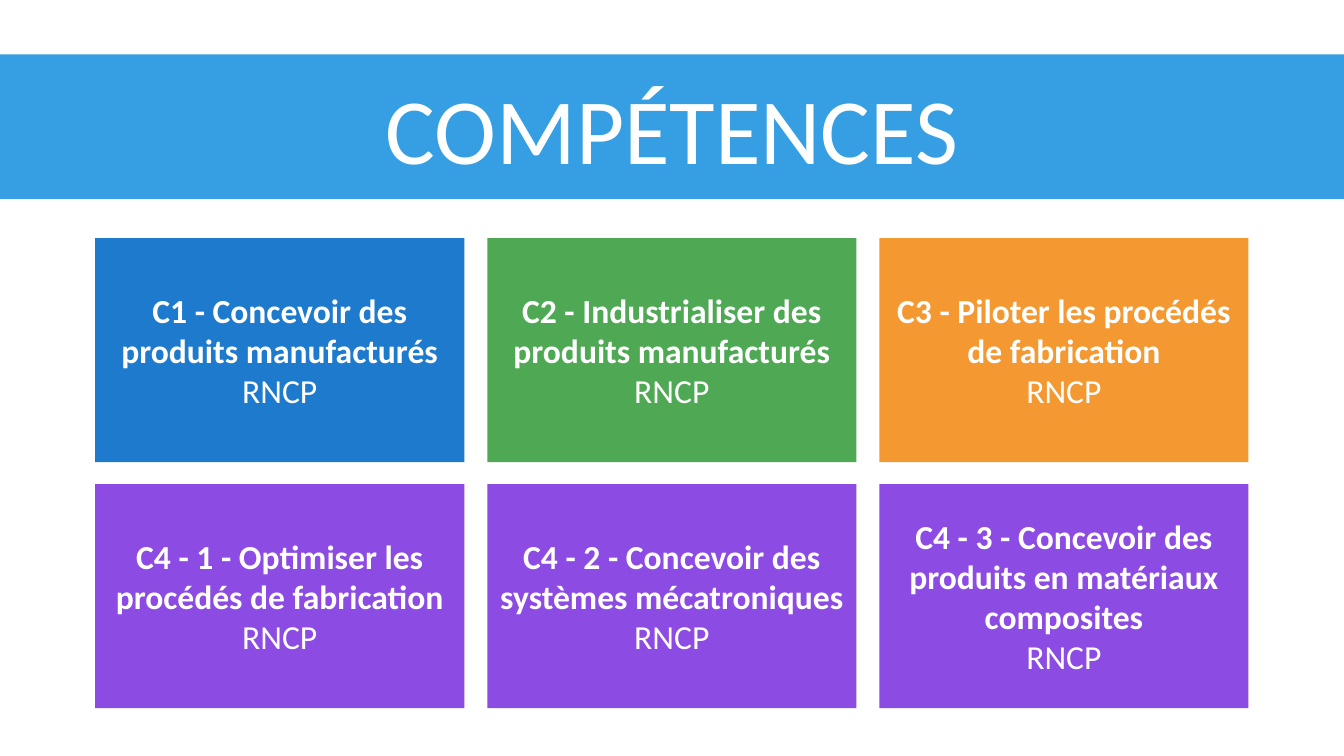
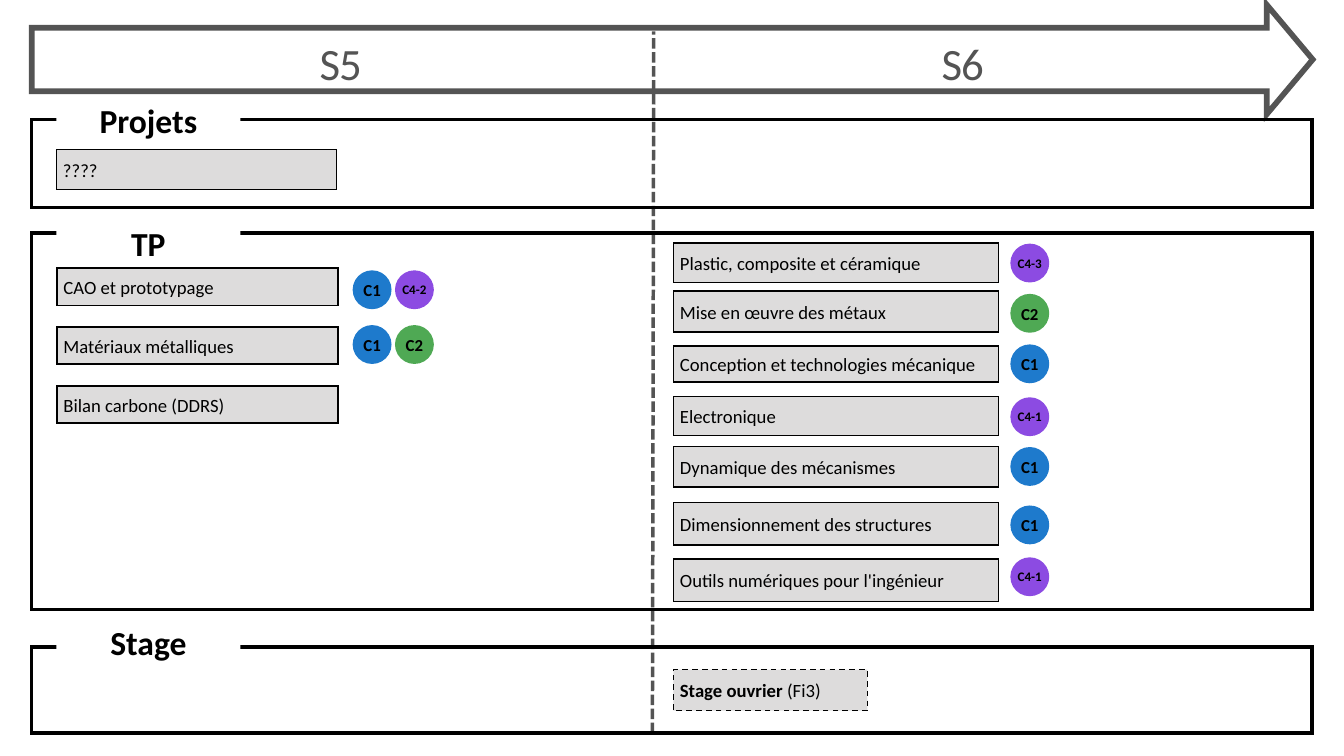
from lxml import etree
from pptx import Presentation
from pptx.dml.color import RGBColor
from pptx.enum.dml import MSO_LINE_DASH_STYLE as DASH
from pptx.enum.shapes import MSO_CONNECTOR, MSO_SHAPE as SHAPE
from pptx.enum.text import MSO_ANCHOR as ANCHOR, PP_ALIGN as ALIGN
from pptx.oxml.ns import qn
from pptx.util import Cm, Pt

FONT = "Calibri"
COLORS = {
    "white": "FFFFFF", "black": "000000", "band": "369FE3", "gray": "545454",
    "box": "DDDCDC", "C1": "1E7ACC", "C2": "4FA954", "C3": "F49831", "C4": "8C4BE2",
}


def rgb(name):
    return RGBColor.from_string(COLORS[name])


def write(tf, paragraphs, size=20, color="black", align=ALIGN.LEFT,
          anchor=ANCHOR.MIDDLE, wrap=True, inset=None, spacing=None, tracking=None):
    """Fill a text frame; each paragraph is a list of (text, bold) runs."""
    tf.word_wrap = wrap
    tf.vertical_anchor = anchor
    if inset is not None:
        tf.margin_left = tf.margin_top = tf.margin_right = tf.margin_bottom = inset
    for i, runs in enumerate(paragraphs):
        p = tf.add_paragraph() if i else tf.paragraphs[0]
        p.alignment = align
        if spacing:
            p.line_spacing = Pt(spacing)
        for text, bold in runs:
            r = p.add_run()
            r.text = text
            r.font.name, r.font.size, r.font.bold = FONT, Pt(size), bold
            r.font.color.rgb = rgb(color)
            if tracking:
                r.font._element.set("spc", str(tracking))


class Deck:
    def __init__(self, width, height):
        self.prs = Presentation()
        self.prs.slide_width, self.prs.slide_height = Cm(width), Cm(height)
        self.slide = None

    def new_slide(self):
        self.slide = self.prs.slides.add_slide(self.prs.slide_layouts[6])

    def shape(self, kind, x, y, w, h, fill=None, line=None, weight=1.5, dash=None):
        sp = self.slide.shapes.add_shape(kind, Cm(x), Cm(y), Cm(w), Cm(h))
        sp.shadow.inherit = False
        if fill:
            sp.fill.solid()
            sp.fill.fore_color.rgb = rgb(fill)
        else:
            sp.fill.background()
        if line:
            sp.line.color.rgb = rgb(line)
            sp.line.width = Pt(weight)
            if dash:
                sp.line.dash_style = dash
            ln = sp._element.spPr.find(qn("a:ln"))
            etree.SubElement(ln, qn("a:miter"), lim="800000")
        else:
            sp.line.fill.background()
        return sp

    def band(self, title, y, h):
        sp = self.shape(SHAPE.RECTANGLE, 0, y, 50.8, h, "band")
        write(sp.text_frame, [[(title, False)]], 100, "white", ALIGN.CENTER)

    def card(self, title, color, x, y):
        sp = self.shape(SHAPE.RECTANGLE, x, y, 13.95, 8.47, color)
        write(sp.text_frame, [[(title, True)], [("RNCP", False)]],
              36, "white", ALIGN.CENTER)

    def semester(self, text, x, w):
        sp = self.slide.shapes.add_textbox(Cm(x), Cm(1.17), Cm(w), Cm(2.11))
        write(sp.text_frame, [[(text, False)]], 48, "gray", ALIGN.CENTER, ANCHOR.TOP,
              inset=0, spacing=62.4, tracking=-100)

    def dashed_line(self, x1, y1, x2, y2):
        cn = self.slide.shapes.add_connector(
            MSO_CONNECTOR.STRAIGHT, Cm(x1), Cm(y1), Cm(x2), Cm(y2))
        cn.line.color.rgb = rgb("gray")
        cn.line.width = Pt(3.75)
        cn.line.dash_style = DASH.SQUARE_DOT
        etree.SubElement(cn._element.spPr, qn("a:effectLst"))

    def frame(self, y, h):
        self.shape(SHAPE.RECTANGLE, 1.2, y, 48.4, h, line="black", weight=3.75)

    def frame_label(self, text, y, anchor):
        sp = self.shape(SHAPE.RECTANGLE, 2.13, y, 6.96, 1.55, "white")
        write(sp.text_frame, [[(text, True)]], 36, align=ALIGN.CENTER, anchor=anchor)

    def box(self, runs, x, y, w, h, dash=None):
        sp = self.shape(SHAPE.RECTANGLE, x, y, w, h, "box", "black", dash=dash)
        write(sp.text_frame, [runs])

    def badge(self, code, x, y):
        color = code[:2]
        sp = self.shape(SHAPE.OVAL, x, y, 1.39, 1.39, color, color, 2.25)
        write(sp.text_frame, [[(code, True)]], 18 if code == color else 14,
              align=ALIGN.CENTER, wrap=False, inset=0)


def skills_slide(deck):
    deck.new_slide()
    deck.band("COMPÉTENCES", 2.06, 5.46)
    cards = [
        ("C1 - Concevoir des produits manufacturés", "C1"),
        ("C2 - Industrialiser des produits manufacturés", "C2"),
        ("C3 - Piloter les procédés de fabrication", "C3"),
        ("C4 - 1 - Optimiser les procédés de fabrication", "C4"),
        ("C4 - 2 - Concevoir des systèmes mécatroniques", "C4"),
        ("C4 - 3 - Concevoir des produits en matériaux composites", "C4"),
    ]
    for i, (title, color) in enumerate(cards):
        row, col = divmod(i, 3)
        deck.card(title, color, 3.6 + 14.82 * col, 9 + 9.3 * row)


def timeline_slide(deck):
    deck.new_slide()

    # Semester arrow
    arrow = deck.shape(SHAPE.RIGHT_ARROW, 1.2, 0.18, 48.42, 4.14, line="gray", weight=6)
    arrow.adjustments[0], arrow.adjustments[1] = 0.58, 0.42
    deck.dashed_line(24.66, 27.71, 24.71, 1.19)
    deck.semester("S5", 1.27, 23.22)
    deck.semester("S6", 24.92, 22.94)

    # Frames with their labels: text, frame top, height, label top, anchor
    for text, y, h, label_y, anchor in [
        ("Projets", 4.52, 3.33, 3.78, ANCHOR.MIDDLE),
        ("TP", 8.81, 14.24, 8.31, ANCHOR.TOP),
        ("Stage", 24.46, 3.25, 23.39, ANCHOR.TOP),
    ]:
        deck.frame(y, h)
        deck.frame_label(text, label_y, anchor)

    # Project and internship
    deck.box([("????", False)], 2.13, 5.66, 10.6, 1.5)
    deck.box([("Stage ouvrier ", True), ("(Fi3)", False)],
             25.45, 25.32, 7.34, 1.55, DASH.DASH)

    # Practical work: name, top, height, badge top, skill codes
    s5 = [
        ("CAO et prototypage", 10.14, 1.4, 10.26, ["C1", "C4-2"]),
        ("Matériaux métalliques", 12.37, 1.4, 12.33, ["C1", "C2"]),
        ("Bilan carbone (DDRS)", 14.6, 1.4, 0, []),
    ]
    s6 = [
        ("Plastic, composite et céramique", 9.19, 1.5, 9.25, ["C4-3"]),
        ("Mise en œuvre des métaux", 11, 1.56, 11.15, ["C2"]),
        ("Conception et technologies mécanique", 13.08, 1.37, 13.06, ["C1"]),
        ("Electronique", 14.99, 1.47, 15.06, ["C4-1"]),
        ("Dynamique des mécanismes", 16.89, 1.52, 16.94, ["C1"]),
        ("Dimensionnement des structures", 19, 1.6, 19.15, ["C1"]),
        ("Outils numériques pour l'ingénieur", 21.13, 1.6, 21.11, ["C4-1"]),
    ]
    for rows, x, w, badge_x in [(s5, 2.15, 10.63, 13.37), (s6, 25.45, 12.29, 38.23)]:
        for name, y, h, badge_y, codes in rows:
            deck.box([(name, False)], x, y, w, h)
            for i, code in enumerate(codes):
                deck.badge(code, badge_x + 1.6 * i, badge_y)


def main():
    deck = Deck(50.8, 28.58)
    skills_slide(deck)
    timeline_slide(deck)
    deck.prs.save("out.pptx")


if __name__ == "__main__":
    main()
